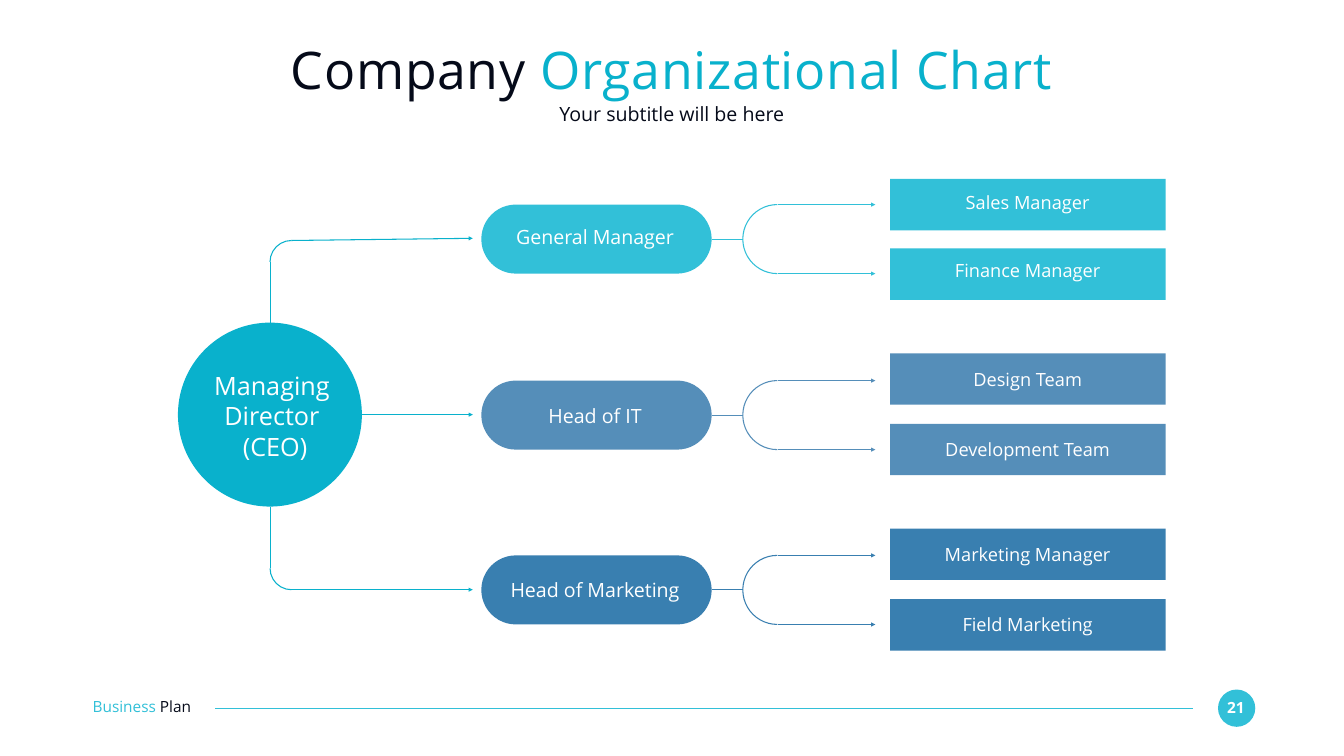
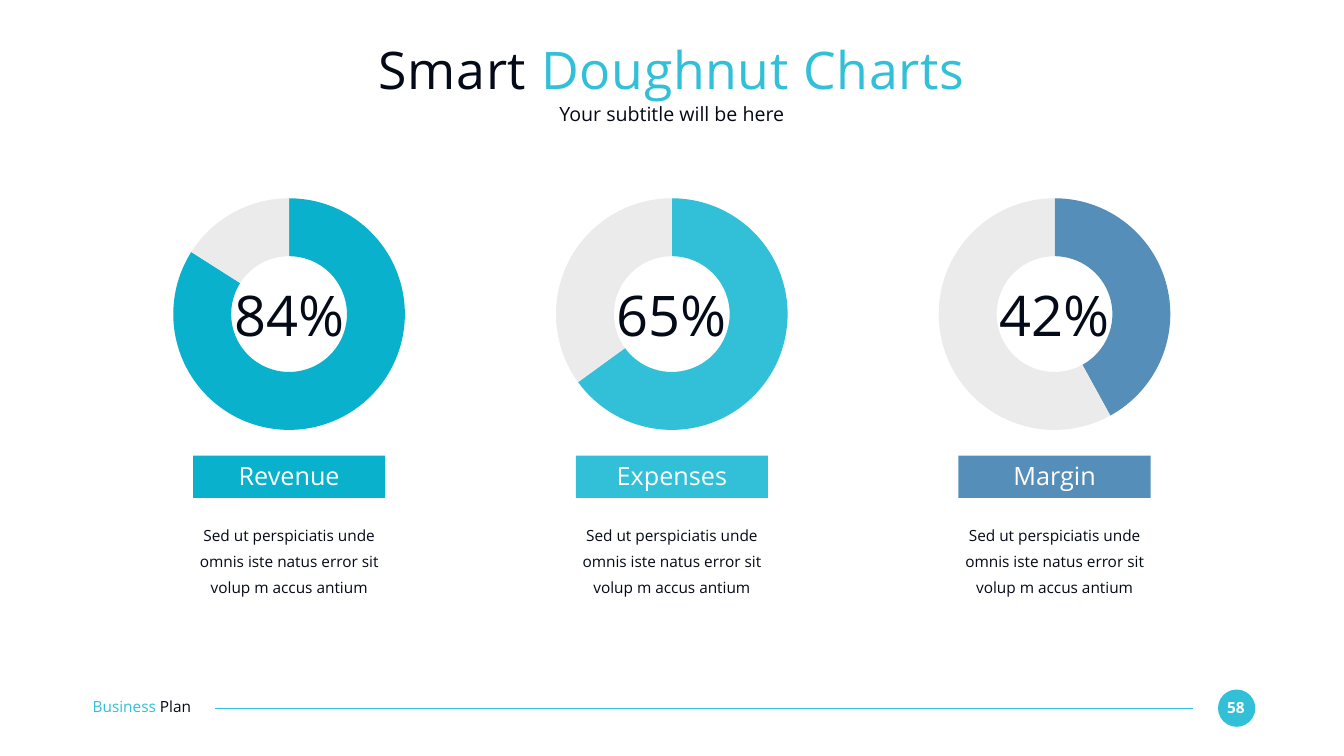
from dataclasses import dataclass

from lxml.etree import SubElement
from pptx import Presentation
from pptx.chart.data import CategoryChartData as ChartData
from pptx.dml.color import RGBColor as RGB
from pptx.enum.chart import XL_CHART_TYPE as CHART
from pptx.enum.shapes import MSO_CONNECTOR as LINE, MSO_SHAPE as SHAPE
from pptx.enum.text import MSO_AUTO_SIZE as FIT, PP_ALIGN as ALIGN
from pptx.oxml.ns import qn
from pptx.util import Cm, Pt


@dataclass(frozen=True)
class Theme:
    """Colours, fonts and type sizes of the deck."""
    teal: str = "09B1CC"
    aqua: str = "32C0D8"
    steel: str = "558EB9"
    blue: str = "397FB0"
    ink: str = "050A19"
    white: str = "FFFFFF"
    grey: str = "EBEBEB"
    chart_text: str = "999999"
    font: str = "Open Sans"
    chart_font: str = "Calibri"
    title: int = 74
    figure: int = 80
    large: int = 36
    medium: int = 28
    label: int = 26
    small: int = 22
    chart_size: int = 10
    line: float = 1.5


T = Theme()


@dataclass(frozen=True)
class Branch:
    """A department head with the teams below it."""
    name: str
    color: str
    top: float
    label_top: float
    teams: tuple


BRANCHES = (
    Branch("General Manager", T.aqua, 10.31, 11.35,
           (("Sales Manager", 9.02, 9.63), ("Finance Manager", 12.52, 13.08))),
    Branch("Head of IT", T.steel, 19.18, 20.37,
           (("Design Team", 17.81, 18.54), ("Development Team", 21.36, 22.1))),
    Branch("Head of Marketing", T.blue, 27.99, 29.13,
           (("Marketing Manager", 26.64, 27.38), ("Field Marketing", 30.2, 30.91))),
)

METRICS = (("Revenue", 84, T.teal), ("Expenses", 65, T.aqua), ("Margin", 42, T.steel))
METRIC_TEXT = "Sed ut perspiciatis unde omnis iste natus error sit volup m accus antium"


def box(x, y, w, h):
    """Return left, top, width and height as lengths."""
    return Cm(x), Cm(y), Cm(w), Cm(h)


def add_runs(p, runs, size, bold=False, align=ALIGN.CENTER):
    """Add (text, colour) runs to a paragraph and return them."""
    p.alignment = align
    added = []
    for text, color in runs:
        r = p.add_run()
        r.text = text
        r.font.name, r.font.size, r.font.bold = T.font, Pt(size), bold
        r.font.color.rgb = RGB.from_string(color)
        added.append(r)
    return added


def set_frame(tf, fit):
    """Give a text frame no margins, wrapping and the given fit."""
    tf.margin_left = tf.margin_right = tf.margin_top = tf.margin_bottom = 0
    tf.word_wrap, tf.auto_size = True, fit


def add_text(s, area, paragraphs, size, bold=False, align=ALIGN.CENTER):
    """Add a text box with one list of runs per paragraph."""
    tf = s.shapes.add_textbox(*box(*area)).text_frame
    set_frame(tf, FIT.SHAPE_TO_FIT_TEXT)
    for i, runs in enumerate(paragraphs):
        p = tf.add_paragraph() if i else tf.paragraphs[0]
        add_runs(p, runs, size, bold, align)
    return tf


def add_block(s, kind, area, color):
    """Add a filled shape without an outline."""
    sp = s.shapes.add_shape(kind, *box(*area))
    sp.shadow.inherit = False
    sp.fill.solid()
    sp.fill.fore_color.rgb = RGB.from_string(color)
    sp.line.fill.background()
    return sp


def set_line(line, color):
    """Set the colour and the width of a line."""
    line.color.rgb = RGB.from_string(color)
    line.width = Pt(T.line)


def add_line(s, start, end, color, arrow=False):
    """Add a straight line, with an optional arrowhead at its start."""
    c = s.shapes.add_connector(LINE.STRAIGHT, *map(Cm, start + end))
    set_line(c.line, color)
    if arrow:
        SubElement(c.line._get_or_add_ln(), qn("a:headEnd"), type="triangle")
    SubElement(c._element.spPr, qn("a:effectLst"))


def add_arc(s, x, y, size, color, flip=False, rotation=0, half=False):
    """Add a quarter or half circle outline."""
    sp = s.shapes.add_shape(SHAPE.ARC, *box(x, y, size, size))
    sp.shadow.inherit = False
    sp.fill.background()
    set_line(sp.line, color)
    sp.rotation = rotation
    if half:
        sp.adjustments[0], sp.adjustments[1] = 162, 54
    if flip:
        sp._element.spPr.find(qn("a:xfrm")).set("flipH", "1")


def place(sp, area, fit=FIT.NONE):
    """Move a placeholder and return its first paragraph."""
    sp.left, sp.top, sp.width, sp.height = box(*area)
    set_frame(sp.text_frame, fit)
    return sp.text_frame.paragraphs[0]


def add_slide(prs, number, lead, accent, color):
    """Add a slide with title, subtitle and footer."""
    s = prs.slides.add_slide(prs.slide_layouts[1])
    p = place(s.shapes.title, (4.65, 1.85, 58.42, 3.23))
    for r in add_runs(p, [(lead, T.ink), (accent, color)], T.title):
        r._r.get_or_add_rPr().set("spc", "100")
    p = place(s.placeholders[1], (4.65, 5.16, 58.42, 1.24))
    add_runs(p, [("Your subtitle will be here", T.ink)], T.medium)
    pPr = p._p.get_or_add_pPr()
    pPr.set("marL", "0")
    pPr.set("indent", "0")
    SubElement(pPr, qn("a:buNone"))
    add_footer(s, number)
    return s


def add_footer(s, number):
    """Add the page badge, the rule and the deck name."""
    add_block(s, SHAPE.OVAL, (61.39, 34.75, 1.88, 1.88), T.aqua)
    add_text(s, (61.54, 35.18, 1.5, 0.94), [[(str(number), T.white)]], T.small, bold=True)
    add_line(s, (60.12, 35.69), (10.85, 35.69), T.aqua)
    add_text(s, (4.67, 35.15, 6.58, 0.94), [[("Business ", T.aqua), ("Plan", T.ink)]],
             T.small, align=ALIGN.LEFT)


def add_director(s):
    """Add the director and the lines to the department heads."""
    x, top, size, bend, tip, start = 13.61, 16.26, 9.27, 2.16, 23.83, 14.68
    upper, lower = 12.12, 29.72
    middle, bottom = top + size / 2, top + size
    add_block(s, SHAPE.OVAL, (8.97, top, size, size), T.teal)
    add_line(s, (tip, 12.01), (start, upper), T.teal, arrow=True)
    add_line(s, (x, top), (x, upper + bend / 2), T.teal)
    add_arc(s, x, upper, bend, T.teal, flip=True)
    add_arc(s, x, lower - bend, bend, T.teal, rotation=180)
    add_line(s, (tip, lower), (start, lower), T.teal, arrow=True)
    add_line(s, (x, bottom), (x, lower - bend / 2), T.teal)
    add_line(s, (tip, middle), (18.26, middle), T.teal, arrow=True)
    add_text(s, (9.45, 18.67, 8.51, 4.62),
             [[("Managing Director", T.white)], [(" (CEO)", T.white)]], T.large)


def add_branch(s, b):
    """Add a department head, its fork and its teams."""
    x, w, h, fork = 24.26, 11.61, 3.48, 37.44
    middle = b.top + h / 2
    pill = add_block(s, SHAPE.ROUNDED_RECTANGLE, (x, b.top, w, h), b.color)
    pill.adjustments[0] = 0.5
    add_arc(s, fork, b.top, h, b.color, flip=True, half=True)
    add_line(s, (x + w, middle), (fork, middle), b.color)
    for y in (b.top, b.top + h):
        add_line(s, (44.12, y), (39.19, y), b.color, arrow=True)
    add_text(s, (25.1, b.label_top, 9.78, 1.19), [[(b.name, T.white)]], T.medium)
    for name, top, label_top in b.teams:
        add_block(s, SHAPE.RECTANGLE, (44.86, top, 13.89, 2.59), b.color)
        add_text(s, (46.91, label_top, 9.78, 1.12), [[(name, T.white)]], T.label)


def add_doughnut(s, area, value, color):
    """Add a doughnut chart of a share and its remainder."""
    data = ChartData()
    data.categories = ["1", "2"]
    data.add_series("Series 1", (value, 100 - value))
    chart = s.shapes.add_chart(CHART.DOUGHNUT, *box(*area), data).chart
    chart.has_legend = chart.has_title = False
    chart.font.name, chart.font.size = T.chart_font, Pt(T.chart_size)
    chart.font.color.rgb = RGB.from_string(T.chart_text)
    plot = chart.plots[0]
    plot.has_data_labels = False
    for i, c in enumerate((color, T.grey)):
        fmt = plot.series[0].points[i].format
        fmt.fill.solid()
        fmt.fill.fore_color.rgb = RGB.from_string(c)
        fmt.line.fill.background()
    root = chart._chartSpace
    root.find(".//" + qn("c:holeSize")).set("val", "88")
    set_plot_layout(root.find(".//" + qn("c:plotArea")))


def set_plot_layout(area):
    """Centre the ring in its chart frame."""
    layout = area.find(qn("c:layout"))
    if layout is None:
        layout = SubElement(area, qn("c:layout"))
        area.insert(0, layout)
    manual = SubElement(layout, qn("c:manualLayout"))
    for tag, val in (("layoutTarget", "inner"), ("xMode", "edge"), ("yMode", "edge"),
                     ("x", "0.03"), ("y", "0.06"), ("w", "0.94"), ("h", "0.88")):
        SubElement(manual, qn("c:" + tag), val=val)


def add_metric(s, x, name, value, color):
    """Add a column with a doughnut, its figure, a label and a text."""
    add_doughnut(s, (x, 9.19, 12.42, 13.28), value, color)
    add_block(s, SHAPE.RECTANGLE, (x + 1.37, 22.96, 9.68, 2.13), color)
    add_text(s, (x + 2.28, 23.19, 7.87, 1.55), [[(name, T.white)]], T.large)
    tf = add_text(s, (x + 0.74, 26.14, 10.95, 3.96), [[(METRIC_TEXT, T.ink)]], T.small)
    tf.paragraphs[0].line_spacing = 1.4
    tf.paragraphs[0].space_after = Pt(36)
    add_text(s, (x + 3.2, 14.12, 6.05, 3.43), [[(f"{value}%", T.ink)]], T.figure)


def main():
    """Build and save the deck."""
    prs = Presentation()
    prs.slide_width, prs.slide_height = Cm(67.74), Cm(38.1)
    s = add_slide(prs, 21, "Company ", "Organizational Chart", T.teal)
    add_director(s)
    for b in BRANCHES:
        add_branch(s, b)
    s = add_slide(prs, 58, "Smart ", "Doughnut Charts", T.aqua)
    for i, metric in enumerate(METRICS):
        add_metric(s, 8.36 + 19.29 * i, *metric)
    prs.save("out.pptx")


if __name__ == "__main__":
    main()
